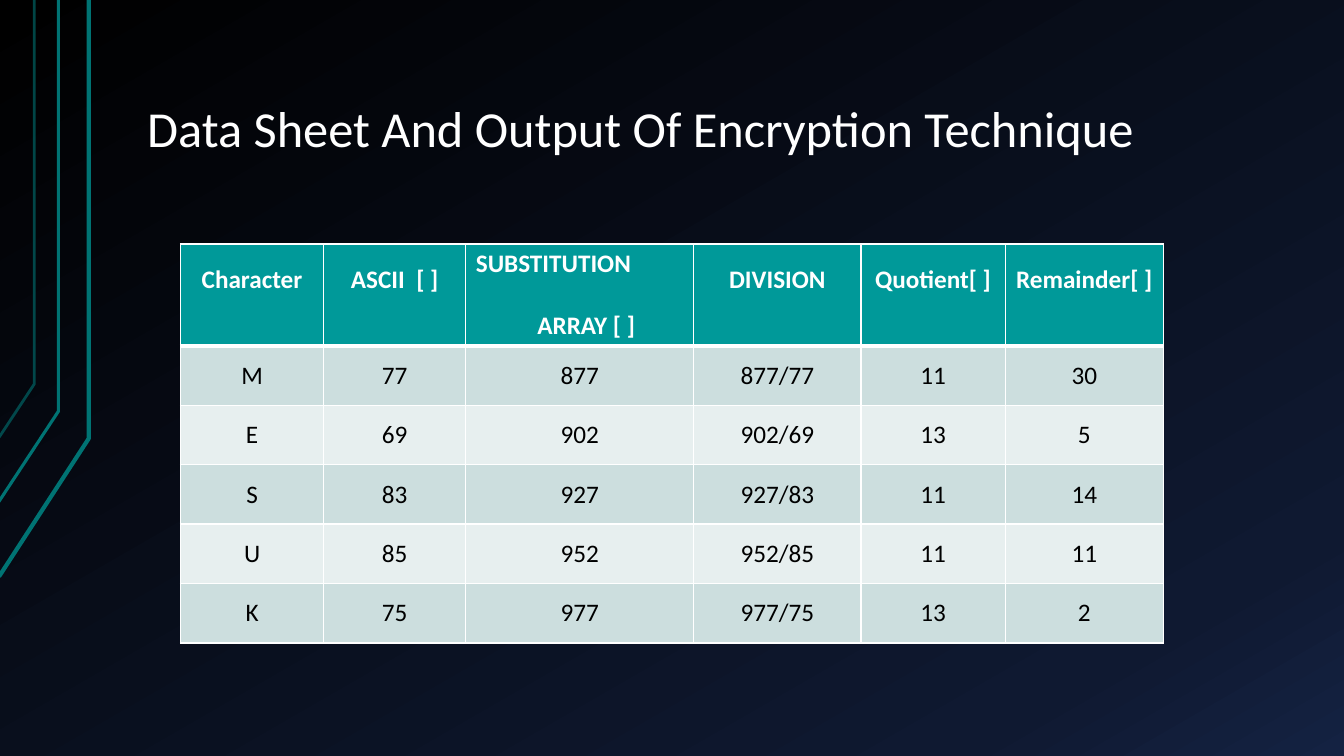
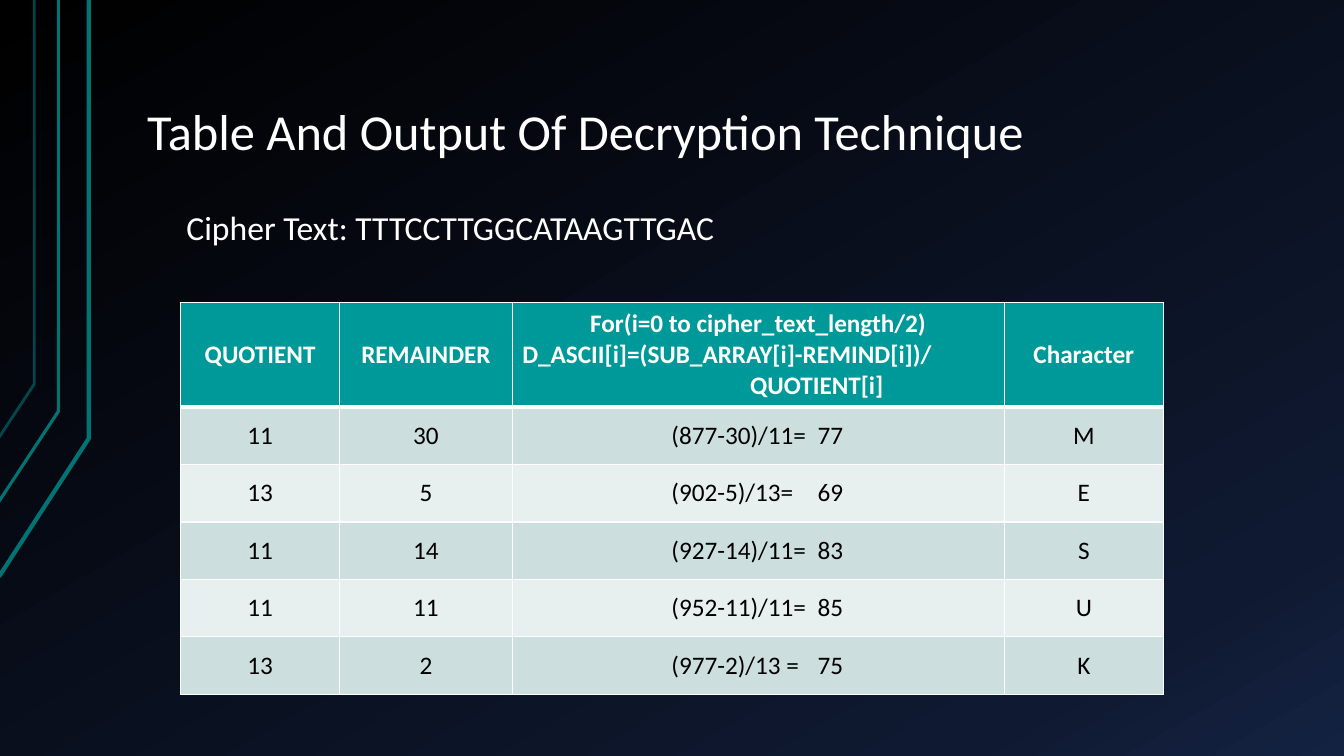
import pptx
import pptx.dml.color
import pptx.enum.text
import pptx.oxml
import pptx.oxml.ns
import pptx.util

Inches = pptx.util.Inches
Pt = pptx.util.Pt
ALIGN = pptx.enum.text.PP_ALIGN
ANCHOR = pptx.enum.text.MSO_ANCHOR

FONT = "Calibri"
WHITE, BLACK = "FFFFFF", "000000"
TEAL, DARK_TEAL = "009999", "007373"
BANDS = ("CCDEDE", "E7EFEF")
BACKDROP = ((0, BLACK), (85, "0F1931"), (100, "142242"))
BACKDROP_ANGLE = 60
RAILS = (
    (((-0.01, 5.72), (0.88, 4.35), (0.88, 0)), 3, 100),
    (((-0.02, 4.99), (0.58, 4.08), (0.58, 0)), 2.25, 100),
    (((-0.01, 4.34), (0.34, 3.81), (0.34, 0)), 2, 60),
)
CELL_INSET = 0.1
FORMULA_INDENT, RESULT_TAB = 1.48, 1.45


def rgb(color):
    """Turn a hex string into a colour."""
    return pptx.dml.color.RGBColor.from_string(color)


def xml(markup):
    """Build one DrawingML element from markup with an open first tag."""
    tag, rest = markup.split(" ", 1)
    return pptx.oxml.parse_xml(f"{tag} {pptx.oxml.ns.nsdecls('a')} {rest}")


def style(paragraph, size, color, bold=False, align=ALIGN.LEFT):
    """Set the font and alignment of a paragraph."""
    font = paragraph.font
    font.name, font.size, font.bold = FONT, Pt(size), bold
    font.color.rgb = rgb(color)
    paragraph.alignment = align


def paint_backdrop(master):
    """Give every slide the dark diagonal gradient."""
    fill = master.background.fill
    fill.gradient()
    gradient = master.background._cSld.find(".//" + pptx.oxml.ns.qn("a:gradFill"))
    for child in list(gradient):
        gradient.remove(child)
    stops = "".join(
        f'<a:gs pos="{position * 1000}"><a:srgbClr val="{color}"/></a:gs>'
        for position, color in BACKDROP)
    gradient.append(xml(f"<a:gsLst >{stops}</a:gsLst>"))
    gradient.append(xml(f'<a:lin ang="{BACKDROP_ANGLE * 60000}" scaled="0"/>'))


def add_rails(slide):
    """Draw the bent teal lines along the left edge."""
    for points, width, opacity in RAILS:
        start, *bends = [(Inches(x), Inches(y)) for x, y in points]
        builder = slide.shapes.build_freeform(*start)
        builder.add_line_segments(bends, close=False)
        rail = builder.convert_to_shape()
        rail.shadow.inherit = False
        rail.fill.background()
        rail.line.color.rgb = rgb(DARK_TEAL)
        rail.line.width = Pt(width)
        if opacity < 100:
            color = rail.line._ln.find(".//" + pptx.oxml.ns.qn("a:srgbClr"))
            color.append(xml(f'<a:alpha val="{opacity * 1000}"/>'))


def add_title(slide, text, top):
    """Place the slide title, standing on the bottom of its box."""
    frame = slide.shapes.add_textbox(
        Inches(1.33), Inches(top), Inches(11.33), Inches(1.34)).text_frame
    frame.word_wrap = True
    frame.vertical_anchor = ANCHOR.BOTTOM
    frame.margin_left = frame.margin_right = Inches(0.13)
    frame.margin_top = frame.margin_bottom = Inches(0.07)
    title = frame.paragraphs[0]
    title.text = text
    title.line_spacing = 0.9
    style(title, 36, WHITE)


def add_cipher_text(slide, text, left, top):
    """Place the line that shows the cipher text."""
    frame = slide.shapes.add_textbox(
        Inches(left), Inches(top), Inches(5.49), Inches(0.5)).text_frame
    frame.word_wrap = False
    cipher = frame.paragraphs[0]
    cipher.text = text
    style(cipher, 24, WHITE)


def add_borders(cell, bottom):
    """Draw white borders round a cell, with its own bottom width."""
    properties = cell._tc.get_or_add_tcPr()
    for side, width in (("L", 1), ("R", 1), ("T", 1), ("B", bottom)):
        properties.append(xml(
            f'<a:ln{side} w="{Pt(width)}"><a:solidFill><a:srgbClr val="{WHITE}"/>'
            f"</a:solidFill></a:ln{side}>"))


def fill_cell(cell, lines, fill, color, bold, bottom):
    """Write lines of (text, indent) in a cell; no indent means centred."""
    add_borders(cell, bottom)
    cell.fill.solid()
    cell.fill.fore_color.rgb = rgb(fill)
    cell.vertical_anchor = ANCHOR.MIDDLE
    frame = cell.text_frame
    for index, (text, indent) in enumerate(lines):
        line = frame.add_paragraph() if index else frame.paragraphs[0]
        line.text = text
        style(line, 18, color, bold, ALIGN.CENTER if indent is None else ALIGN.LEFT)
        properties = line._p.get_or_add_pPr()
        if indent:
            properties.set("marL", str(Inches(indent)))
            properties.set("indent", "0")
        if "\t" in text:
            line.alignment = ALIGN.LEFT
            cell.margin_left = Inches(CELL_INSET + FORMULA_INDENT)
            tabs = xml(f'<a:tabLst ><a:tab pos="{Inches(RESULT_TAB)}" algn="l"/></a:tabLst>')
            properties.insert_element_before(tabs, "a:defRPr", "a:extLst")


def add_data_table(slide, left, top, widths, head_height, row_height, head, rows):
    """Place a table with a teal head and banded rows, and return it."""
    table = slide.shapes.add_table(
        len(rows) + 1, len(widths), Inches(left), Inches(top), Inches(sum(widths)),
        Inches(head_height + row_height * len(rows))).table
    for column, width in zip(table.columns, widths):
        column.width = Inches(width)
    for number, values in enumerate([head, *rows]):
        is_head = number == 0
        table.rows[number].height = Inches(head_height if is_head else row_height)
        look = (TEAL, WHITE, True, 3) if is_head else (BANDS[(number - 1) % 2], BLACK, False, 1)
        for column, value in enumerate(values):
            lines = [(value, None)] if isinstance(value, str) else value
            fill_cell(table.cell(number, column), lines, *look)
    return table


def start_slide(deck, title, title_top):
    """Add a slide with the rails and a title."""
    slide = deck.slides.add_slide(deck.slide_layouts[6])
    add_rails(slide)
    add_title(slide, title, title_top)
    return slide


def add_encryption_slide(deck):
    """Build the slide with the encryption data."""
    slide = start_slide(deck, "Data Sheet And Output Of Encryption Technique", 0.3)
    head = ("Character", "ASCII  [ ]", [("SUBSTITUTION", 0), ("ARRAY [ ]", 0.61)],
            "DIVISION", "Quotient[ ]", "Remainder[ ]")
    rows = (
        ("M", "77", "877", "877/77", "11", "30"),
        ("E", "69", "902", "902/69", "13", "5"),
        ("S", "83", "927", "927/83", "11", "14"),
        ("U", "85", "952", "952/85", "11", "11"),
        ("K", "75", "977", "977/75", "13", "2"),
    )
    table = add_data_table(slide, 1.79, 2.42, (1.42, 1.41, 2.26, 1.66, 1.43, 1.57),
                           1.01, 0.59, head, rows)
    for column, label in enumerate(head):
        cell = table.cell(0, column)
        if isinstance(label, str):
            cell.margin_bottom = Inches(0.35)
        else:
            cell.text_frame.paragraphs[0].space_after = Pt(22)


def add_decryption_slide(deck):
    """Build the slide with the decryption table."""
    slide = start_slide(deck, "Table And Output Of Decryption Technique", 0.33)
    head = ("QUOTIENT", "REMAINDER",
            [("For(i=0 to cipher_text_length/2)", None),
             ("D_ASCII[i]=(SUB_ARRAY[i]-REMIND[i])/", 0),
             ("QUOTIENT[i]", 2.26)],
            "Character")
    rows = (
        ("11", "30", "(877-30)/11=\t77", "M"),
        ("13", "5", "(902-5)/13=\t69", "E"),
        ("11", "14", "(927-14)/11=\t83", "S"),
        ("11", "11", "(952-11)/11=\t85", "U"),
        ("13", "2", "(977-2)/13 =\t75", "K"),
    )
    add_data_table(slide, 1.79, 3, (1.58, 1.71, 4.88, 1.58), 1.04, 0.57, head, rows)
    add_cipher_text(slide, "Cipher Text: TTTCCTTGGCATAAGTTGAC", 1.75, 2)


def main():
    """Build and save the deck."""
    deck = pptx.Presentation()
    deck.slide_width, deck.slide_height = Inches(13.33), Inches(7.5)
    paint_backdrop(deck.slide_master)
    add_encryption_slide(deck)
    add_decryption_slide(deck)
    deck.save("out.pptx")


if __name__ == "__main__":
    main()
